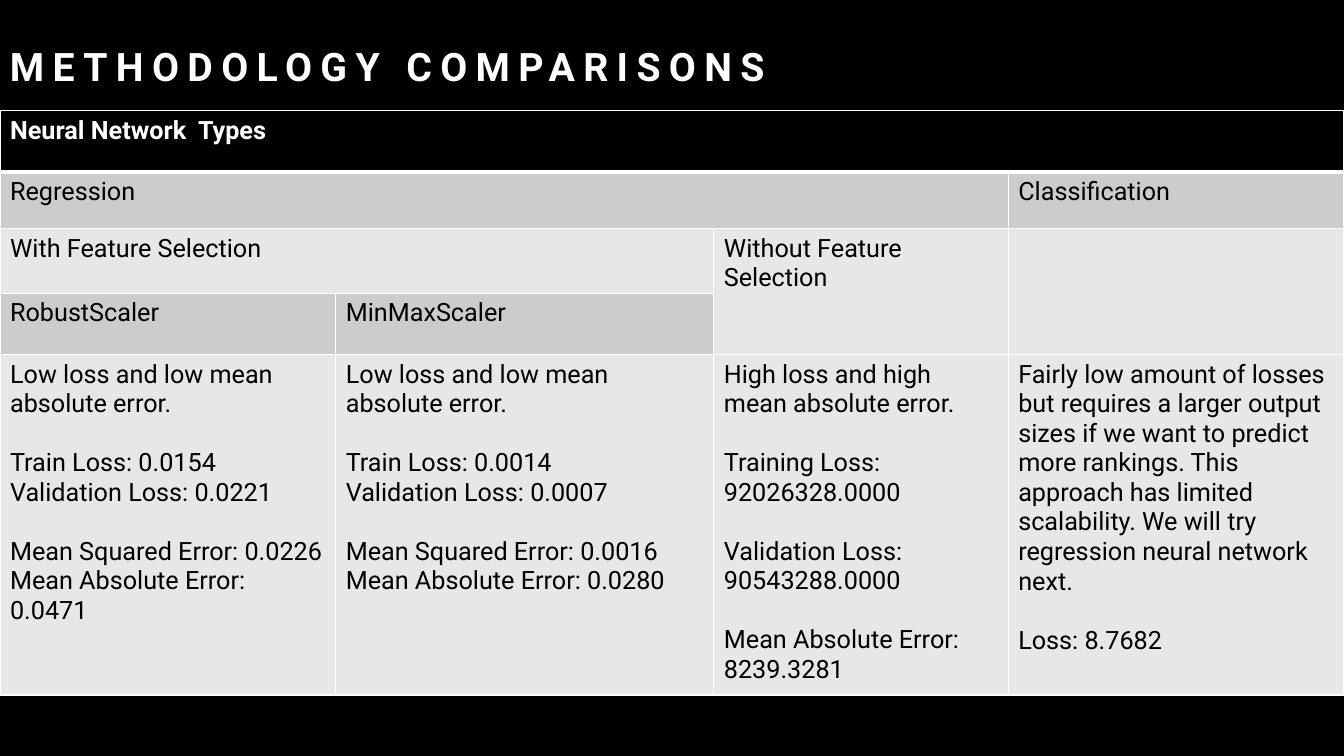
from lxml import etree
from pptx import Presentation
from pptx.dml.color import RGBColor
from pptx.enum.text import MSO_ANCHOR
from pptx.oxml.ns import qn
from pptx.util import Inches, Pt

BOTTOM = MSO_ANCHOR.BOTTOM

THEME = {
    "font": "Roboto", "title": 28, "body": 18, "gap": 21, "track": 6,
    "black": "000000", "white": "FFFFFF", "dark": "CCCCCC", "light": "E7E7E7",
    "thin": 1, "thick": 3,
}

TITLE = "METHODOLOGY COMPARISONS"
COLS = [3.33, 3.75, 2.92, 3.33]
ROWS = [0.61, 0.56, 0.64, 0.61, 3.32]
TOP = 1.1

# row, column, rows spanned, columns spanned, fill, groups of lines
CELLS = [
    (0, 0, 1, 4, "black", [["Neural Network  Types"]]),
    (1, 0, 1, 3, "dark", [["Regression"]]),
    (1, 3, 1, 1, "dark", [["Classification"]]),
    (2, 0, 1, 2, "light", [["With Feature Selection"]]),
    (2, 2, 2, 1, "light", [["Without Feature Selection"]]),
    (2, 3, 2, 1, "light", []),
    (3, 0, 1, 1, "dark", [["RobustScaler"]]),
    (3, 1, 1, 1, "dark", [["MinMaxScaler"]]),
    (4, 0, 1, 1, "light", [
        ["Low loss and low mean absolute error."],
        ["Train Loss: 0.0154", "Validation Loss: 0.0221"],
        ["Mean Squared Error: 0.0226", "Mean Absolute Error: 0.0471"],
    ]),
    (4, 1, 1, 1, "light", [
        ["Low loss and low mean absolute error."],
        ["Train Loss: 0.0014", "Validation Loss: 0.0007"],
        ["Mean Squared Error: 0.0016", "Mean Absolute Error: 0.0280"],
    ]),
    (4, 2, 1, 1, "light", [
        ["High loss and high mean absolute error."],
        ["Training Loss: 92026328.0000"],
        ["Validation Loss: 90543288.0000"],
        ["Mean Absolute Error: 8239.3281"],
    ]),
    (4, 3, 1, 1, "light", [
        ["Fairly low amount of losses but requires a larger output sizes if we "
         "want to predict more rankings. This approach has limited scalability. "
         "We will try regression neural network next."],
        ["Loss: 8.7682"],
    ]),
]


def color(name):
    return RGBColor.from_string(THEME[name])


def style(para, size, tint, bold):
    font = para.font
    font.name = THEME["font"]
    font.size = Pt(THEME[size])
    font.bold = bold
    font.color.rgb = color(tint)


def write(frame, groups, tint, bold):
    lines = [(text, i > 0 and j == 0)
             for i, group in enumerate(groups) for j, text in enumerate(group)]
    for n, (text, gap) in enumerate(lines):
        para = frame.add_paragraph() if n else frame.paragraphs[0]
        para.text = text
        if gap:
            para.space_before = Pt(THEME["gap"])
        style(para, "body", tint, bold)


def border(cell, row):
    props = cell._tc.get_or_add_tcPr()
    for spot, side in enumerate(["lnL", "lnR", "lnT", "lnB"]):
        heavy = (row, side) in [(0, "lnB"), (1, "lnT")]
        width = Pt(THEME["thick" if heavy else "thin"])
        line = etree.Element(qn(f"a:{side}"), w=str(width))
        fill = etree.SubElement(line, qn("a:solidFill"))
        etree.SubElement(fill, qn("a:srgbClr"), val=THEME["white"])
        props.insert(spot, line)


def add_title(slide):
    box = slide.shapes.add_textbox(0, 0, Inches(10.1), Inches(0.94))
    frame = box.text_frame
    frame.word_wrap = True
    frame.vertical_anchor = BOTTOM
    para = frame.paragraphs[0]
    para.text = TITLE
    para.line_spacing = 1.2
    style(para, "title", "white", True)
    para.runs[0].font._element.set("spc", str(THEME["track"] * 100))


def add_grid(slide):
    table = slide.shapes.add_table(
        len(ROWS), len(COLS), 0, Inches(TOP),
        Inches(sum(COLS)), Inches(sum(ROWS))).table
    for col, width in zip(table.columns, COLS):
        col.width = Inches(width)
    for row, height in zip(table.rows, ROWS):
        row.height = Inches(height)
    for row, col, down, across, fill, groups in CELLS:
        head = row == 0
        first = table.cell(row, col)
        if down * across > 1:
            first.merge(table.cell(row + down - 1, col + across - 1))
        for r in range(row, row + down):
            for c in range(col, col + across):
                cell = table.cell(r, c)
                cell.fill.solid()
                cell.fill.fore_color.rgb = color(fill)
                border(cell, r)
        write(first.text_frame, groups, "white" if head else "black", head)


def main():
    deck = Presentation()
    deck.slide_width = Inches(13.33)
    deck.slide_height = Inches(7.5)
    slide = deck.slides.add_slide(deck.slide_layouts[6])
    slide.background.fill.solid()
    slide.background.fill.fore_color.rgb = color("black")
    add_title(slide)
    add_grid(slide)
    deck.save("out.pptx")


if __name__ == "__main__":
    main()
